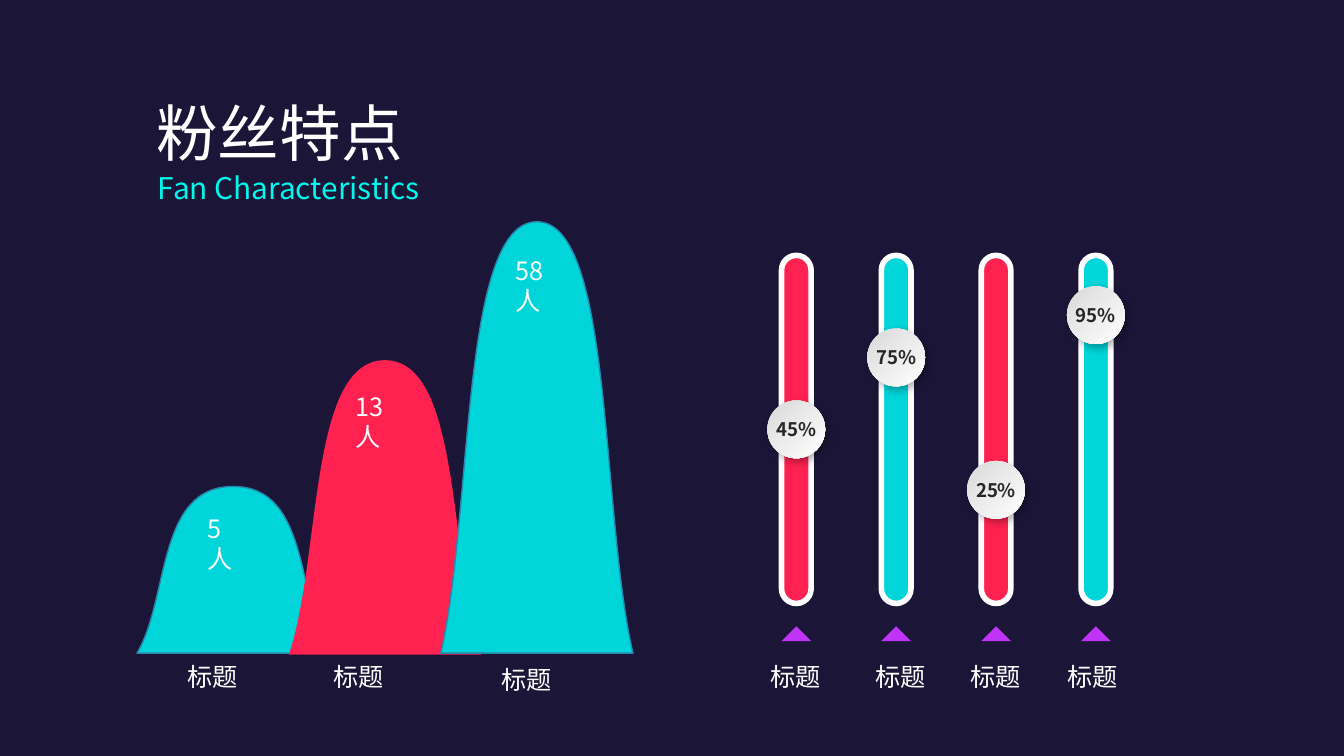
from lxml import etree
from pptx import Presentation
from pptx import util as u
from pptx.dml.color import RGBColor
from pptx.enum import shapes, text
from pptx.oxml.ns import qn

COLORS = {
    "night": "1B1638", "white": "FFFFFF", "cyan": "00D5DA", "aqua": "00F8ED",
    "red": "FF2250", "purple": "C034F7", "edge": "2987AB", "grey": "D9D9D9",
    "ink": "262626", "black": "000000",
}
COLOR = {name: RGBColor.from_string(value) for name, value in COLORS.items()}
KIND = shapes.MSO_SHAPE
LEFT, CENTER = text.PP_ALIGN.LEFT, text.PP_ALIGN.CENTER
SC, JP = "Noto Sans CJK SC", "Noto Sans CJK JP"

# Grid of 100 columns; rows are as tall as columns are wide
COLS, ROWS = 100, 56.25
CELL = u.Inches(0.1)


def cells(*counts):
    return [round(count * CELL) for count in counts]


def write(shape, words, size, color="white", font=SC, align=CENTER, wrap=True):
    frame = shape.text_frame
    frame.word_wrap = wrap
    line = frame.paragraphs[0]
    line.alignment = align
    line.line_spacing = u.Pt(round(size * 1.2, 1))
    run = line.add_run()
    run.text = words
    run.font.size = u.Pt(size)
    run.font.name = font
    run.font.color.rgb = COLOR[color]
    etree.SubElement(run.font._element, qn("a:ea"), typeface=font)
    return run


deck = Presentation()
deck.slide_width, deck.slide_height = cells(COLS, ROWS)
slide = deck.slides.add_slide(deck.slide_layouts[6])
slide.background.fill.solid()
slide.background.fill.fore_color.rgb = COLOR["night"]

# Headings
heading = slide.shapes.add_group_shape().shapes
subtitle = heading.add_textbox(*cells(10.75, 12.1, 39.8, 2.8))
write(subtitle, "Fan Characteristics", 16, "aqua", JP, LEFT, wrap=False)
title = heading.add_textbox(*cells(10.65, 6.6, 30.8, 5.5))
write(title, "粉丝特点", 33, font=JP, align=LEFT)

# Hill labels
for x, y in ((13, 48.7), (23.8, 48.7), (36.3, 48.9)):
    label = slide.shapes.add_textbox(*cells(x, y, 5.7, 3.3))
    write(label, "标题", 13.5, wrap=False)

# Hill outline in shares of its width and height: start, then three points a curve
PEAK, FOOT_LEFT, FOOT_RIGHT = (0.5, 0), (0, 1), (1, 1)
OUTLINE = [PEAK, (0.1, 0), (0.17, 0.67), FOOT_LEFT, FOOT_RIGHT, FOOT_RIGHT, FOOT_RIGHT,
           (0.83, 0.67), (0.9, 0), PEAK, PEAK, PEAK, PEAK]

# Hills: color, top, base, count, count left, count top, count width
HILL_LEFT, HILL_STEP, HILL_WIDTH = 10.2, 11.3, 14.3
hills = [
    ("cyan", 36.2, 48.6, "5人", 14.45, 37.7, 5.0),
    ("red", 26.8, 48.7, "13人", 25.5, 28.6, 6.1),
    ("cyan", 16.5, 48.6, "58人", 37.4, 18.5, 6.1),
]
for index, (color, top, base, count, x, y, width) in enumerate(hills):
    parts = slide.shapes.add_group_shape().shapes
    left = HILL_LEFT + index * HILL_STEP
    points = [cells(left + px * HILL_WIDTH, top + py * (base - top))
              for px, py in OUTLINE]
    pen = parts.build_freeform(*points[0])
    pen.add_line_segments(points[1:], close=False)
    hill = pen.convert_to_shape()

    # Turn every three straight segments into one curve
    outline = hill._element.spPr.find(".//" + qn("a:path"))
    segments = outline.findall(qn("a:lnTo"))
    for first in range(0, len(segments), 3):
        curve = etree.SubElement(outline, qn("a:cubicBezTo"))
        for segment in segments[first:first + 3]:
            curve.append(segment[0])
            outline.remove(segment)

    hill.shadow.inherit = False
    hill.fill.solid()
    hill.fill.fore_color.rgb = COLOR[color]
    if color == "cyan":
        hill.line.color.rgb = COLOR["edge"]
        hill.line.width = u.Pt(0.75)
    else:
        hill.line.fill.background()

    # The first count stands on a plate of its own
    place = cells(x, y, width, 3.3)
    if index == 0:
        people = parts.add_shape(KIND.RECTANGLE, *place)
        people.shadow.inherit = False
        people.fill.solid()
        people.fill.fore_color.rgb = COLOR[color]
        people.line.fill.background()
        people.text_frame.vertical_anchor = text.MSO_ANCHOR.TOP
    else:
        people = parts.add_textbox(*place)
    people.text_frame.margin_right = u.Inches(0.15)
    write(people, count, 13.5, align=LEFT)

# Sliders: color, share, knob top, label left
TRACK_LEFT, TRACK_STEP, TRACK_WIDTH, KNOB = 58.15, 7.43, 2.2, 4.3
sliders = [
    ("red", "45%", 29.8, 55.3),
    ("cyan", "75%", 24.45, 63.1),
    ("red", "25%", 34.3, 70.2),
    ("cyan", "95%", 21.3, 77.4),
]
for index, (color, share, knob_top, label_x) in enumerate(sliders):
    left = TRACK_LEFT + index * TRACK_STEP
    track = slide.shapes.add_shape(
        KIND.ROUNDED_RECTANGLE, *cells(left, 19, TRACK_WIDTH, 25.9))
    track.adjustments[0] = 0.5
    track.line.color.rgb = COLOR["white"]
    track.line.width = u.Pt(3)
    marker = slide.shapes.add_shape(
        KIND.ISOSCELES_TRIANGLE, *cells(left, 46.6, TRACK_WIDTH, 1.1))
    marker.line.fill.background()
    for part, fill in ((track, color), (marker, "purple")):
        part.shadow.inherit = False
        part.fill.solid()
        part.fill.fore_color.rgb = COLOR[fill]

    # Knob with gradient and soft shadow
    knob_left = left + (TRACK_WIDTH - KNOB) / 2
    knob = slide.shapes.add_shape(KIND.OVAL, *cells(knob_left, knob_top, KNOB, KNOB))
    knob.fill.gradient()
    knob.fill.gradient_angle = 315
    for stop, position, shade in zip(knob.fill.gradient_stops, (0, 1), ("grey", "white")):
        stop.position = position
        stop.color.rgb = COLOR[shade]
    knob.line.fill.background()
    knob.shadow.inherit = False
    effects = knob._element.spPr.find(qn("a:effectLst"))
    cast = etree.SubElement(effects, qn("a:outerShdw"), blurRad=str(u.Pt(4.5)),
                            dist=str(u.Pt(2.6)), dir=str(53 * 60000), rotWithShape="0")
    tint = etree.SubElement(cast, qn("a:srgbClr"), val=COLORS["black"])
    etree.SubElement(tint, qn("a:alpha"), val="30000")
    frame = knob.text_frame
    frame.margin_left = frame.margin_right = frame.margin_top = frame.margin_bottom = 0
    frame.vertical_anchor = text.MSO_ANCHOR.MIDDLE
    write(knob, share, 10, "ink").font.bold = True

    label = slide.shapes.add_textbox(*cells(label_x, 48.7, 7.8, 3.3))
    write(label, "标题", 13.5)

deck.save("out.pptx")
